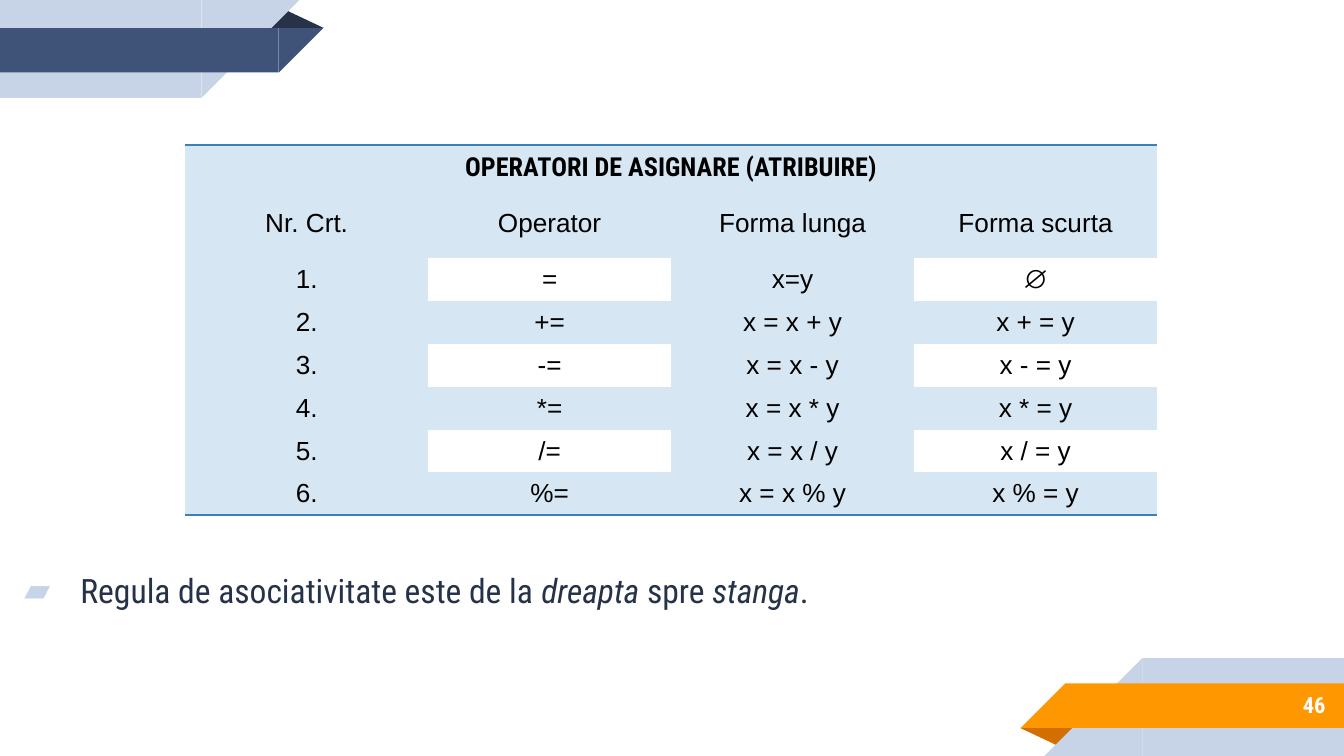
from lxml.etree import SubElement
from pptx import Presentation
from pptx.dml.color import RGBColor
from pptx.enum.shapes import MSO_SHAPE
from pptx.enum.text import MSO_ANCHOR, MSO_AUTO_SIZE, PP_ALIGN
from pptx.oxml.ns import qn
from pptx.util import Cm, Pt

WIDE, HIGH = 25.4, 14.29
COLORS = {
    "pale": "C7D3E6", "navy": "3F5378", "ink": "263248",
    "orange": "FF9800", "rust": "D26F00", "sky": "D6E6F2",
    "line": "3A81BA", "black": "000000", "white": "FFFFFF",
}
HEAD = "OPERATORI DE ASIGNARE (ATRIBUIRE)"
ROWS = [
    ("Nr. Crt.", "Operator", "Forma lunga", "Forma scurta"),
    ("1.", "=", "x=y", "∅"),
    ("2.", "+=", "x = x + y", "x + = y"),
    ("3.", "-=", "x = x - y", "x - = y"),
    ("4.", "*=", "x = x * y", "x * = y"),
    ("5.", "/=", "x = x / y", "x / = y"),
    ("6.", "%=", "x = x % y", "x % = y"),
]
RULE = [
    ("Regula de asociativitate este de la ", False),
    ("dreapta", True),
    (" spre ", False),
    ("stanga", True),
    (".", False),
]


class Deck:
    font = "Roboto Condensed"
    plain = "Arial"

    def __init__(self):
        self.show = Presentation()
        self.show.slide_width, self.show.slide_height = Cm(WIDE), Cm(HIGH)
        self.slide = self.show.slides.add_slide(self.show.slide_layouts[1])
        title = self.slide.shapes.title.element
        title.getparent().remove(title)

    def color(self, name):
        return RGBColor.from_string(COLORS[name])

    def run(self, para, text, size, color, font=None, bold=False, italic=False):
        run = para.add_run()
        run.text = text
        style = run.font
        style.name, style.size = font or self.font, Pt(size)
        style.bold, style.italic = bold, italic
        style.color.rgb = self.color(color)

    def shape(self, kind, box, color, turn=0, flip=False):
        item = self.slide.shapes.add_shape(kind, *map(Cm, box))
        item.shadow.inherit = False
        item.fill.solid()
        item.fill.fore_color.rgb = self.color(color)
        item.line.fill.background()
        item.rotation = turn
        if flip:
            item.element.spPr.find(qn("a:xfrm")).set("flipH", "1")
        return item

    def corner(self, band, fold, low=False):
        def place(x, y, w, h):
            return (WIDE - x - w, HIGH - y - h, w, h) if low else (x, y, w, h)

        ear = self.shape(MSO_SHAPE.ISOSCELES_TRIANGLE, place(5.03, 0.18, 1.09, 0.35),
                         fold, 180 if low else 0)
        ear.adjustments[0] = 0.32
        for top, wide, high, color in ((0, 3.81, 1.85, "pale"), (0.53, 5.27, 0.84, band)):
            for kind, box in (
                (MSO_SHAPE.RECTANGLE, (0, top, wide, high)),
                (MSO_SHAPE.RIGHT_TRIANGLE, (wide, top, high, high)),
            ):
                self.shape(kind, place(*box), color, 0 if low else 180, True)

    def frame(self, item):
        frame = item.text_frame
        frame.word_wrap = True
        frame.auto_size = MSO_AUTO_SIZE.NONE
        frame.vertical_anchor = MSO_ANCHOR.MIDDLE
        frame.margin_left = frame.margin_right = Cm(0.25)
        frame.margin_top = frame.margin_bottom = Cm(0.25)
        return frame.paragraphs[0]

    def body(self, box, parts):
        item = self.slide.placeholders[1]
        item.left, item.top, item.width, item.height = map(Cm, box)
        para = self.frame(item)
        para.line_spacing, para.space_before = 1.0, Pt(0)
        props = para._p.get_or_add_pPr()
        props.set("marL", str(Cm(1.27)))
        props.set("indent", str(Cm(-1.06)))
        tint = SubElement(props, qn("a:buClr"))
        SubElement(tint, qn("a:srgbClr"), val=COLORS["pale"])
        SubElement(props, qn("a:buFont"), typeface=self.font)
        SubElement(props, qn("a:buChar"), char="▰")
        for text, italic in parts:
            self.run(para, text, 18, "ink", italic=italic)

    def number(self, box, text):
        para = self.frame(self.slide.shapes.add_textbox(*map(Cm, box)))
        para.alignment = PP_ALIGN.RIGHT
        self.run(para, text, 12, "white", bold=True)

    def border(self, cell, side):
        line = SubElement(cell._tc.get_or_add_tcPr(), qn("a:ln" + side), w=str(Pt(1)))
        fill = SubElement(line, qn("a:solidFill"))
        SubElement(fill, qn("a:srgbClr"), val=COLORS["line"])

    def table(self, box, head, rows):
        count, cols = len(rows) + 1, len(rows[0])
        item = self.slide.shapes.add_table(count, cols, *map(Cm, box))
        grid = item.table
        style = grid._tbl.tblPr.find(qn("a:tableStyleId"))
        style.text = "{2D5ABB26-0587-4C30-8999-92F81FD0307C}"
        grid.first_row = grid.horz_banding = False
        for r, row in enumerate(grid.rows):
            row.height = Cm(1.07 if r < 2 else 0.81)
            for c, cell in enumerate(row.cells):
                if r == 0:
                    self.border(cell, "T")
                if r == count - 1:
                    self.border(cell, "B")
                if r > 1 and r % 2 == 0 and c % 2:
                    cell.fill.background()
                else:
                    cell.fill.solid()
                    cell.fill.fore_color.rgb = self.color("sky")
                para = cell.text_frame.paragraphs[0]
                para.alignment = PP_ALIGN.CENTER
                if r:
                    self.run(para, rows[r - 1][c], 14, "black", self.plain)
                elif c == 0:
                    self.run(para, head, 14, "black", bold=True)
        grid.cell(0, 0).merge(grid.cell(0, cols - 1))


def main():
    deck = Deck()
    deck.corner("navy", "ink")
    deck.corner("orange", "rust", low=True)
    deck.body((0, 10.4, WIDE, 1.5), RULE)
    deck.number((21.16, 12.88, 4.14, 0.89), "46")
    deck.table((3.5, 2.74, 18.37, 7), HEAD, ROWS)
    deck.show.save("out.pptx")


if __name__ == "__main__":
    main()
